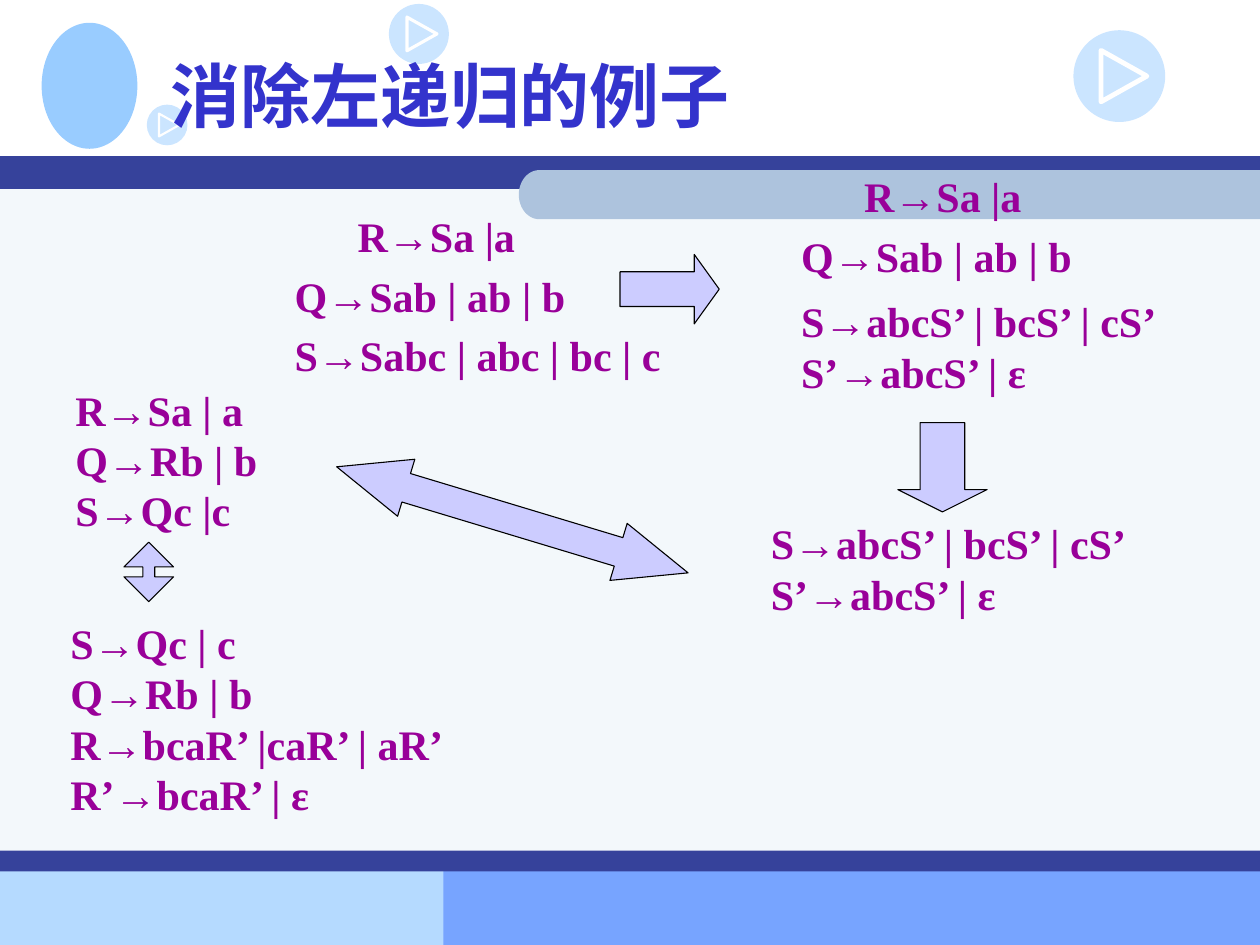
from dataclasses import dataclass
from math import cos, pi, sin

from lxml.etree import SubElement
from pptx import Presentation
from pptx.dml.color import RGBColor
from pptx.enum.shapes import MSO_SHAPE as Preset
from pptx.enum.text import MSO_ANCHOR as Anchor, MSO_AUTO_SIZE as AutoSize, PP_ALIGN as Align
from pptx.oxml.ns import qn
from pptx.util import Cm, Pt


@dataclass(frozen=True)
class Theme:
    title: str = "3333CC"
    rule: str = "990099"
    arrow: str = "CCCCFF"
    outline: str = "000000"
    page: str = "FFFFFF"
    panel: str = "F3F8FB"
    bar: str = "36429B"
    tab: str = "ADC3DD"
    footer_light: str = "B5DAFF"
    footer_blue: str = "77A4FF"
    ornament: str = "99CCFF"
    title_font: str = "Noto Sans CJK SC"
    rule_font: str = "Times New Roman"
    title_size: int = 40
    rule_size: int = 24


THEME = Theme()
WIDTH, HEIGHT = 25.4, 19.05


def rgb(value):
    return RGBColor.from_string(value)


def paint(shape, fill=None, line=None, weight=0.62, alpha=None):
    shape.shadow.inherit = False
    if fill:
        shape.fill.solid()
        shape.fill.fore_color.rgb = rgb(fill)
        if alpha is not None:
            color = shape.fill._xPr.find(qn("a:solidFill"))[0]
            SubElement(color, qn("a:alpha"), val=str(alpha * 1000))
    else:
        shape.fill.background()
    if line:
        shape.line.color.rgb = rgb(line)
        shape.line.width = Pt(weight)
    else:
        shape.line.fill.background()


def add_preset(slide, preset, left, top, width, height, **style):
    shape = slide.shapes.add_shape(preset, Cm(left), Cm(top), Cm(width), Cm(height))
    paint(shape, **style)
    return shape


def add_outline(slide, points, **style):
    (x, y), *others = [(Cm(x), Cm(y)) for x, y in points]
    builder = slide.shapes.build_freeform(x, y)
    builder.add_line_segments(others, close=True)
    paint(builder.convert_to_shape(), **style)


def write(frame, text, *, size, color, font, bold=True, indent=0.0):
    """Write each line of text as a left-aligned paragraph."""
    frame.word_wrap = True
    for index, line in enumerate(text.split("\n")):
        paragraph = frame.paragraphs[0] if index == 0 else frame.add_paragraph()
        paragraph.alignment = Align.LEFT
        if indent:
            paragraph.level = 1
            properties = paragraph._p.get_or_add_pPr()
            properties.set("marL", str(Cm(indent)))
            properties.set("indent", "0")
        run = paragraph.add_run()
        run.text = line
        run.font.size, run.font.bold, run.font.name = Pt(size), bold, font
        run.font.color.rgb = rgb(color)
        SubElement(run._r.get_or_add_rPr(), qn("a:ea"), typeface=font)


def add_rules(slide, text, left, top, width, indent=0.0):
    """Add a box of grammar rules, one rule a line."""
    height = 0.25 + 1.02 * len(text.split("\n"))
    box = slide.shapes.add_textbox(Cm(left), Cm(top), Cm(width), Cm(height))
    box.text_frame.auto_size = AutoSize.SHAPE_TO_FIT_TEXT
    write(box.text_frame, text, size=THEME.rule_size, color=THEME.rule,
          font=THEME.rule_font, indent=indent)


def add_substituted_rules(slide, left, top, start_rules, gap):
    """Add the R and Q rules after substitution, then the rules of S."""
    add_rules(slide, "R→Sa |a", left, top, 5.2, indent=1.27)
    add_rules(slide, "Q→Sab | ab | b", left, top + 1.2, 7)
    add_rules(slide, start_rules, left, top + 1.2 + gap, 9)


def add_arrow(slide, preset, left, top, width, height, head, rotation=0):
    arrow = add_preset(slide, preset, left, top, width, height,
                       fill=THEME.arrow, line=THEME.outline)
    arrow.adjustments[0], arrow.adjustments[1] = 0.5, head
    arrow.rotation = rotation


def add_play_badge(slide, left, top, size):
    add_preset(slide, Preset.OVAL, left, top, size, size, fill=THEME.ornament, alpha=50)
    triangle = [(left + x * size, top + y * size)
                for x, y in ((0.3, 0.22), (0.8, 0.5), (0.3, 0.78))]
    add_outline(slide, triangle, line=THEME.page, weight=1.5 * size)


def add_tab(slide, left, top, height, corner=0.41):
    """Add the header tab, rounded on the left and open to the slide edge."""
    radius = height / 2
    angles = [pi / 2 + pi * step / 24 for step in range(25)]
    curve = [(left + corner * (1 + cos(a)), top + radius * (1 - sin(a))) for a in angles]
    add_outline(slide, [(WIDTH, top), *curve, (WIDTH, top + height)], fill=THEME.tab)


def add_backdrop(slide):
    for left, top, width, height, color in (
            (0, 17.56, 10.8, 1.49, THEME.footer_light),
            (8.94, 17.56, 16.46, 1.49, THEME.footer_blue),
            (0, 3.56, WIDTH, 14, THEME.panel),
            (0, 3.15, WIDTH, 0.66, THEME.bar),
            (0, 17.15, WIDTH, 0.42, THEME.bar)):
        add_preset(slide, Preset.RECTANGLE, left, top, width, height, fill=color)
    add_tab(slide, 10.46, 3.43, 0.99)
    add_preset(slide, Preset.OVAL, 0.84, 0.46, 1.93, 2.54, fill=THEME.ornament)
    for left, top, size in ((7.84, 0.08, 1.21), (21.64, 0.61, 1.85), (2.96, 2.11, 0.82)):
        add_play_badge(slide, left, top, size)


def add_title(slide, text):
    title = slide.shapes.title
    title.left, title.top, title.width, title.height = Cm(3.18), Cm(0.43), Cm(21.6), Cm(2.97)
    title.text_frame.vertical_anchor = Anchor.MIDDLE
    write(title.text_frame, text, size=THEME.title_size, color=THEME.title,
          font=THEME.title_font)
    slide.shapes._spTree.append(title._element)  # in front of the backdrop


def main():
    deck = Presentation()
    deck.slide_width, deck.slide_height = Cm(WIDTH), Cm(HEIGHT)
    slide = deck.slides.add_slide(deck.slide_layouts[5])
    add_backdrop(slide)
    add_title(slide, "消除左递归的例子")

    start_rules = "S→abcS’ | bcS’ | cS’\nS’→abcS’ | ε"
    add_rules(slide, "R→Sa | a\nQ→Rb | b\nS→Qc |c", 0, 7.62, 6.3, indent=1.27)
    add_substituted_rules(slide, 5.69, 4.12, "S→Sabc | abc | bc | c", gap=1.2)
    add_substituted_rules(slide, 15.9, 3.32, start_rules, gap=1.32)
    add_rules(slide, start_rules, 15.29, 10.31, 9)
    add_rules(slide, "S→Qc | c\nQ→Rb | b\nR→bcaR’ |caR’ | aR’\nR’→bcaR’ | ε",
              -0.1, 12.32, 11, indent=1.27)

    add_arrow(slide, Preset.RIGHT_ARROW, 12.5, 5.13, 2, 1.4, head=0.36)
    add_arrow(slide, Preset.DOWN_ARROW, 18.1, 8.52, 1.8, 1.8, head=0.25)
    add_arrow(slide, Preset.LEFT_RIGHT_ARROW, 6.63, 9.88, 7.4, 1.2, head=1.22, rotation=16.8)
    add_arrow(slide, Preset.UP_DOWN_ARROW, 2.5, 10.93, 1, 1.2, head=0.24)
    deck.save("out.pptx")


if __name__ == "__main__":
    main()
